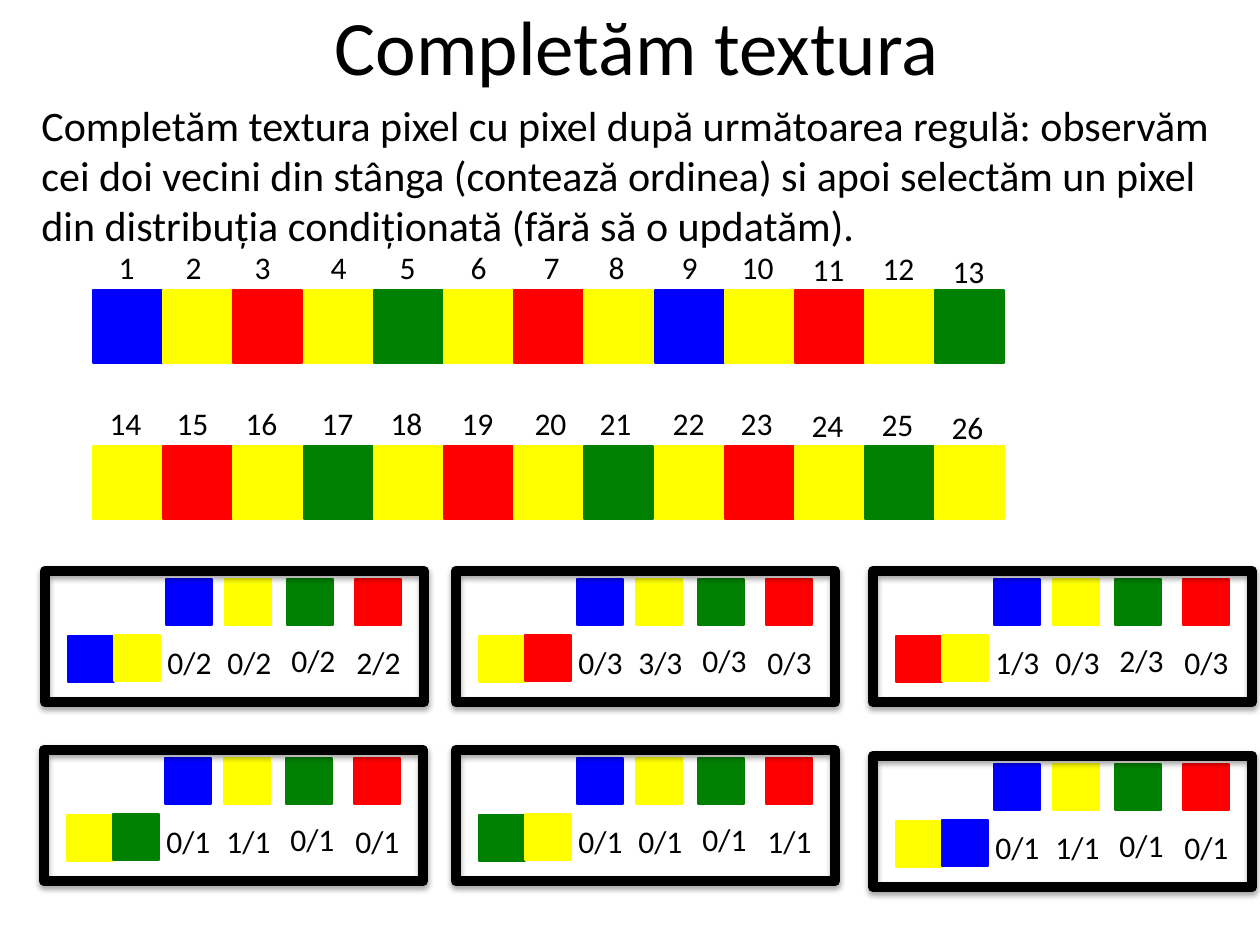
from lxml import etree
from pptx import Presentation
from pptx.dml.color import RGBColor
from pptx.enum.shapes import MSO_SHAPE
from pptx.enum.text import MSO_ANCHOR, PP_ALIGN
from pptx.oxml.ns import qn
from pptx.util import Emu, Pt

COLORS = {"B": "0000FF", "Y": "FFFF00", "G": "008000", "R": "FF0000", "black": "000000"}
FONT = "Calibri"

TITLE = "Completăm textura"
RULE = ("Completăm textura pixel cu pixel după următoarea regulă: observăm cei doi "
        "vecini din stânga (contează ordinea) si apoi selectăm un pixel din "
        "distribuția condiționată (fără să o updatăm).")

# Texture rows: pixels, first number, top of the pixels, left shift of the numbers
ROWS = [
    ("BYRYGYRYBYRYG", 1, 290, 0),
    ("YRYGYRYGYRYGY", 14, 446, -1),
]
NUMBER_LEFTS = [92, 159, 228, 304, 373, 444, 517, 582, 655, 723, 794, 864, 934]
NUMBER_DROPS = [0] * 10 + [2, 1, 4]
PIXEL_LEFT, PIXEL_PITCH, PIXEL_W, PIXEL_H = 93, 70.2, 69, 73
NUMBER_RISE = 48

# Conditional distributions: frame left, frame top, two neighbours, chances of B, Y, G, R
PANELS = [
    (45, 571, "BY", ["0/2", "0/2", "0/2", "2/2"]),
    (456, 571, "YR", ["0/3", "3/3", "0/3", "0/3"]),
    (873, 571, "RY", ["1/3", "0/3", "2/3", "0/3"]),
    (44, 750, "YG", ["0/1", "1/1", "0/1", "0/1"]),
    (456, 750, "GY", ["0/1", "0/1", "0/1", "1/1"]),
    (873, 756, "YB", ["0/1", "1/1", "0/1", "0/1"]),
]
# Outcome colour, left of its swatch, left and top of its chance, inside the frame
OUTCOMES = [("B", 121, 110, 66), ("Y", 180, 170, 66), ("G", 242, 234, 64), ("R", 310, 299, 66)]
FRAME_W, FRAME_H, SWATCH = 379, 131, 46


def px(n):
    return Emu(round(n * 914400 / 126))


def rgb(name):
    return RGBColor.from_string(COLORS[name])


def add_rect(shapes, x, y, w, h, line, line_pt=0.75, fill=None):
    sp = shapes.add_shape(MSO_SHAPE.RECTANGLE, px(x), px(y), px(w), px(h))
    sp.shadow.inherit = False
    if fill:
        sp.fill.solid()
        sp.fill.fore_color.rgb = rgb(fill)
    else:
        sp.fill.background()
    sp.line.color.rgb = rgb(line)
    sp.line.width = Pt(line_pt)
    return sp


def add_swatch(shapes, x, y, color, w=SWATCH, h=SWATCH):
    return add_rect(shapes, x, y, w, h, color, fill=color)


def add_text(shapes, x, y, w, h, text, size=18, align=PP_ALIGN.LEFT, anchor=MSO_ANCHOR.TOP):
    tf = shapes.add_textbox(px(x), px(y), px(w), px(h)).text_frame
    tf.word_wrap = True
    tf.vertical_anchor = anchor
    tf.text = text
    p = tf.paragraphs[0]
    p.alignment = align
    font = p.runs[0].font
    font.name, font.size = FONT, Pt(size)
    font.color.rgb = rgb("black")


def add_drop_shadow(sp):
    effects = sp._element.spPr.find(qn("a:effectLst"))
    shadow = etree.SubElement(effects, qn("a:outerShdw"), blurRad="40000", dist="23000",
                              dir="5400000", rotWithShape="0")
    color = etree.SubElement(shadow, qn("a:srgbClr"), val=COLORS["black"])
    etree.SubElement(color, qn("a:alpha"), val="35000")


def add_texture_row(shapes, pixels, first, top, shift):
    for i, color in enumerate(pixels):
        add_swatch(shapes, round(PIXEL_LEFT + i * PIXEL_PITCH), top, color, PIXEL_W, PIXEL_H)
    for i, (left, drop) in enumerate(zip(NUMBER_LEFTS, NUMBER_DROPS)):
        add_text(shapes, left + shift, top - NUMBER_RISE + drop, PIXEL_W, 50,
                 str(first + i), align=PP_ALIGN.CENTER)


def add_panel(shapes, x, y, neighbours, chances):
    for (color, swatch_x, chance_x, chance_y), chance in zip(OUTCOMES, chances):
        add_swatch(shapes, x + swatch_x, y + 8, color)
        add_text(shapes, x + chance_x, y + chance_y, 81, 50, chance)
    add_swatch(shapes, x + 23, y + 65, neighbours[0])
    add_drop_shadow(add_rect(shapes, x, y, FRAME_W, FRAME_H, "black", 6))
    add_swatch(shapes, x + 69, y + 64, neighbours[1])


def main():
    prs = Presentation()
    prs.slide_width, prs.slide_height = px(1260), px(945)
    shapes = prs.slides.add_slide(prs.slide_layouts[6]).shapes

    add_text(shapes, 45, -34, 1184, 158, TITLE, 44, PP_ALIGN.CENTER, MSO_ANCHOR.MIDDLE)
    for row in ROWS:
        add_texture_row(shapes.add_group_shape().shapes, *row)
    add_text(shapes, 29, 93, 1201, 165, RULE, 24)
    for panel in PANELS:
        add_panel(shapes.add_group_shape().shapes, *panel)

    prs.save("out.pptx")


if __name__ == "__main__":
    main()
